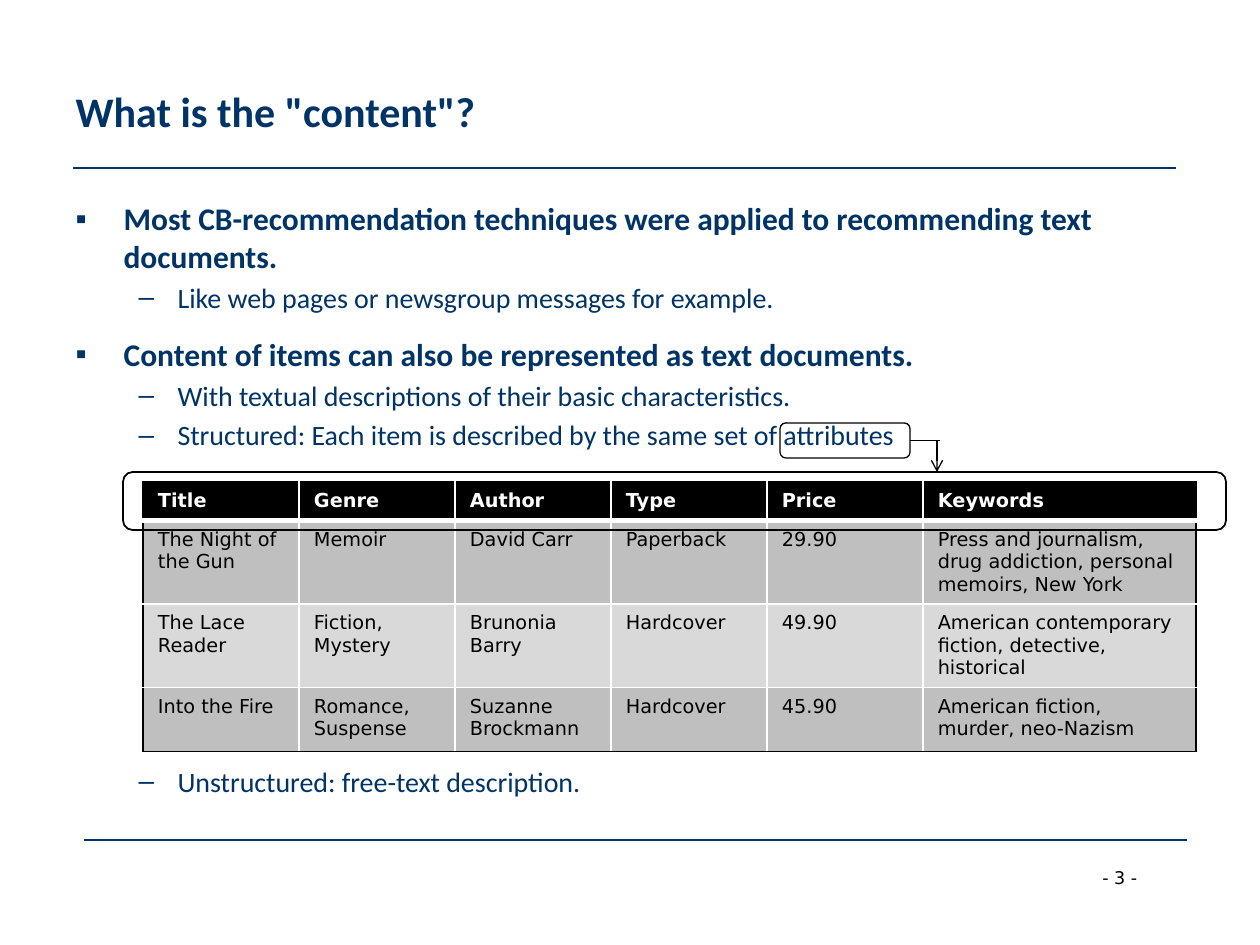
from dataclasses import dataclass

import pptx
import pptx.dml.color
import pptx.enum.shapes
import pptx.enum.text
import pptx.oxml
import pptx.oxml.ns
import pptx.util
from lxml import etree

PX = 914400 / 126


@dataclass(frozen=True)
class Theme:
    """Colours, fonts and type sizes of the slide."""
    navy: str = "003366"
    black: str = "000000"
    white: str = "FFFFFF"
    bands: tuple = ("BFBFBF", "D9D9D9")
    text_font: str = "Calibri"
    table_font: str = "DejaVu Sans"
    title: int = 24
    levels: tuple = (18, 16)
    table: int = 11
    number: int = 10


THEME = Theme()

BULLETS = [
    (0, "Most CB-recommendation techniques were applied to recommending text documents.", 0),
    (1, "Like web pages or newsgroup messages for example.", 3.2),
    (0, "Content of items can also be represented as text documents.", 12),
    (1, "With textual descriptions of their basic characteristics.", 3.2),
    (1, "Structured: Each item is described by the same set of attributes", 3.2),
    (1, "Unstructured: free-text description.", 179),
]
BULLET_STYLES = [("▪", 48, 48), ("–", 102, 39)]

BOOKS = [
    ["Title", "Genre", "Author", "Type", "Price", "Keywords"],
    ["The Night of the Gun", "Memoir", "David Carr", "Paperback", "29.90",
     "Press and journalism, drug addiction, personal memoirs, New York"],
    ["The Lace Reader", "Fiction, Mystery", "Brunonia Barry", "Hardcover", "49.90",
     "American contemporary fiction, detective, historical"],
    ["Into the Fire", "Romance, Suspense", "Suzanne Brockmann", "Hardcover", "45.90",
     "American fiction, murder, neo-Nazism"],
]
COLUMN_WIDTHS = [156] * 5 + [273]
ROW_HEIGHTS = [38, 83, 83, 64]


def px(n):
    """Turn px into EMU."""
    return pptx.util.Emu(round(n * PX))


def rgb(color):
    """Turn a hex string into a colour."""
    return pptx.dml.color.RGBColor.from_string(color)


def set_font(font, name, size, color, bold=False):
    """Format a font."""
    font.name, font.size, font.bold = name, pptx.util.Pt(size), bold
    font.color.rgb = rgb(color)


def place(sp, box):
    """Move a shape to a box."""
    sp.left, sp.top, sp.width, sp.height = map(px, box)


def add_line(s, start, end, color, arrow=False):
    """Add a thin straight line, with an arrowhead if asked."""
    line = s.shapes.add_connector(
        pptx.enum.shapes.MSO_CONNECTOR.STRAIGHT, *map(px, start + end))
    line.line.color.rgb = rgb(color)
    line.line.width = pptx.util.Pt(0.75)
    if arrow:
        tail = etree.SubElement(line.line._get_or_add_ln(), pptx.oxml.ns.qn("a:tailEnd"))
        tail.set("type", "arrow")
    etree.SubElement(line._element.spPr, pptx.oxml.ns.qn("a:effectLst"))
    return line


def add_frame(s, box, width):
    """Add an unfilled rounded frame."""
    sp = s.shapes.add_shape(
        pptx.enum.shapes.MSO_SHAPE.ROUNDED_RECTANGLE, *map(px, box))
    sp.shadow.inherit = False
    sp.fill.background()
    sp.line.color.rgb = rgb(THEME.black)
    sp.line.width = pptx.util.Pt(width)
    return sp


def fill_title(s, box):
    """Write the title and the rule under it."""
    x, y, w, h = box
    sp = s.shapes.title
    place(sp, box)
    tf = sp.text_frame
    tf.text = 'What is the "content"?'
    tf.auto_size = pptx.enum.text.MSO_AUTO_SIZE.NONE
    tf.vertical_anchor = pptx.enum.text.MSO_ANCHOR.MIDDLE
    p = tf.paragraphs[0]
    p.alignment = pptx.enum.text.PP_ALIGN.LEFT
    set_font(p.runs[0].font, THEME.text_font, THEME.title, THEME.navy, True)
    add_line(s, (x + 10, y + h - 21), (x + w - 21, y + h - 21), THEME.navy)


def fill_body(s, box):
    """Write the two-level list, leaving room for the table."""
    sp = s.placeholders[1]
    place(sp, box)
    tf = sp.text_frame
    tf.auto_size = pptx.enum.text.MSO_AUTO_SIZE.NONE
    tf.text = "\n".join(text for _, text, _ in BULLETS)
    for p, (level, _, before) in zip(tf.paragraphs, BULLETS):
        char, margin, hanging = BULLET_STYLES[level]
        p.level = level
        p.space_before = pptx.util.Pt(before)
        pPr = p._p.get_or_add_pPr()
        pPr.set("marL", str(px(margin)))
        pPr.set("indent", str(-px(hanging)))
        etree.SubElement(pPr, pptx.oxml.ns.qn("a:buChar")).set("char", char)
        set_font(p.runs[0].font, THEME.text_font, THEME.levels[level], THEME.navy, level == 0)


def set_borders(cell, borders):
    """Draw cell borders from side, colour and width in points."""
    tcPr = cell._tc.get_or_add_tcPr()
    for side, color, width in borders:
        tcPr.append(pptx.oxml.parse_xml(
            f'<a:ln{side} {pptx.oxml.ns.nsdecls("a")} w="{pptx.util.Pt(width)}">'
            f'<a:solidFill><a:srgbClr val="{color}"/></a:solidFill></a:ln{side}>'))


def add_books(s, box):
    """Add the book table: black outer edge, white inner rules, banded rows."""
    n_rows, n_cols = len(BOOKS), len(BOOKS[0])
    table = s.shapes.add_table(n_rows, n_cols, *map(px, box)).table
    table.first_row = table.horz_banding = False
    for column, width in zip(table.columns, COLUMN_WIDTHS):
        column.width = px(width)
    for row, height in zip(table.rows, ROW_HEIGHTS):
        row.height = px(height)
    for i, values in enumerate(BOOKS):
        header = i == 0
        for j, value in enumerate(values):
            cell = table.cell(i, j)
            cell.margin_left = cell.margin_right = px(15)
            cell.margin_top = cell.margin_bottom = px(8)
            edges = [("L", j == 0, 1), ("R", j == n_cols - 1, 1),
                     ("T", header, 1), ("B", i == n_rows - 1, 3 if header else 1)]
            set_borders(cell, [(side, THEME.black if outer else THEME.white, width)
                               for side, outer, width in edges])
            cell.fill.solid()
            cell.fill.fore_color.rgb = rgb(THEME.black if header else THEME.bands[(i - 1) % 2])
            cell.text_frame.text = value
            set_font(cell.text_frame.paragraphs[0].runs[0].font, THEME.table_font,
                     THEME.table, THEME.white if header else THEME.black, header)


def add_callout(s, box):
    """Frame the word and the header row, and lead from one to the other."""
    x, y, w, h = box
    add_frame(s, (x, y + 49, w, h - 49), 1)
    word = add_frame(s, (x + 657, y, 130, 35), 0.75)
    lead = add_line(s, (x + 787, y + 18), (x + 817, y + 18), THEME.black)
    lead.begin_connect(word, 3)
    lead.end_y = lead.begin_y
    add_line(s, (x + 814, y + 18), (x + 814, y + 49), THEME.black, arrow=True)


def add_footer(s, box):
    """Add the bottom rule and the page number."""
    x, y, w, h = box
    add_line(s, (x, y), (x + w, y), THEME.navy)
    tf = s.shapes.add_textbox(*map(px, (x + 1006, y + 21, 96, 34))).text_frame
    tf.word_wrap = True
    tf.text = "- 3 -"
    set_font(tf.paragraphs[0].runs[0].font, THEME.table_font, THEME.number, THEME.black)


def main():
    """Build the slide and save it."""
    prs = pptx.Presentation()
    prs.slide_width, prs.slide_height = px(1260), px(945)
    s = prs.slides.add_slide(prs.slide_layouts[1])
    fill_title(s, (63, 32, 1134, 157))
    fill_body(s, (63, 193, 1134, 646))
    add_books(s, (143, 482, sum(COLUMN_WIDTHS), sum(ROW_HEIGHTS)))
    add_callout(s, (123, 423, 1103, 107))
    add_footer(s, (84, 840, 1103, 55))
    prs.save("out.pptx")


if __name__ == "__main__":
    main()
